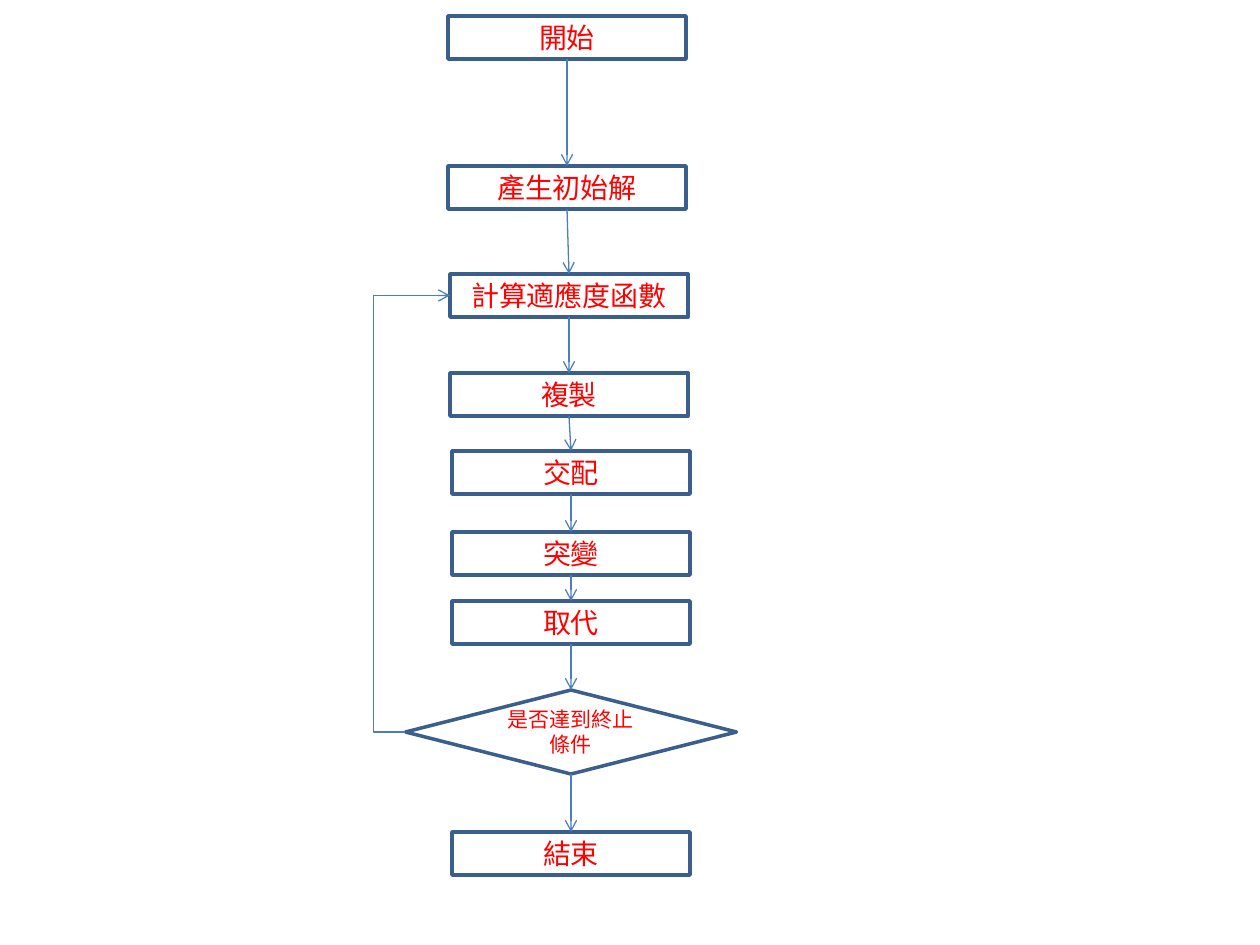
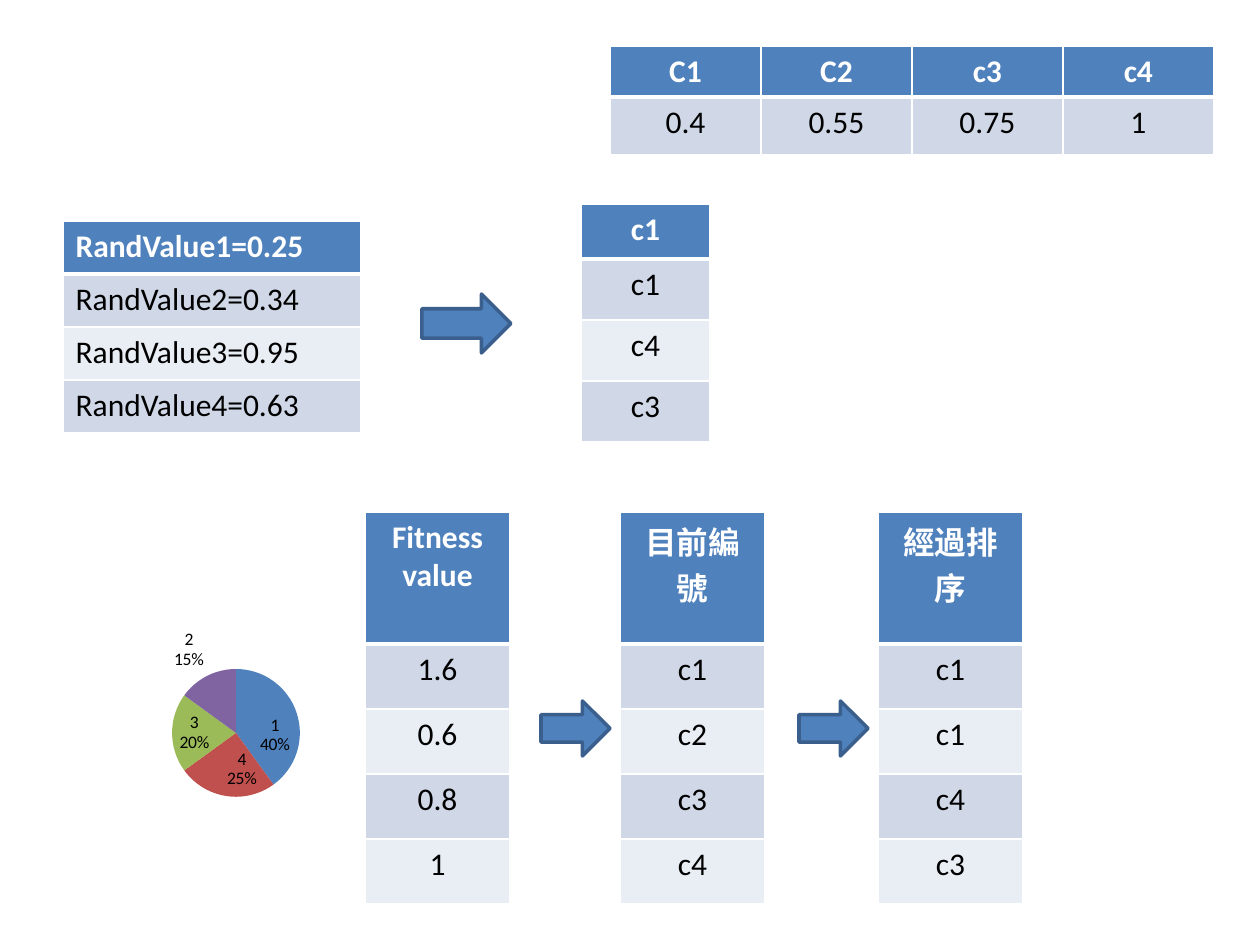
import dataclasses

import pptx
import pptx.chart.data
import pptx.dml.color
import pptx.enum.chart
import pptx.enum.shapes
import pptx.enum.text
import pptx.oxml
import pptx.oxml.ns
import pptx.util
from lxml import etree

SHAPE = pptx.enum.shapes.MSO_SHAPE
CONNECTOR = pptx.enum.shapes.MSO_CONNECTOR
LABEL = pptx.enum.chart.XL_LABEL_POSITION
qn = pptx.oxml.ns.qn


@dataclasses.dataclass(frozen=True)
class Theme:
    font: str = "Calibri"
    accent: str = "4F81BD"
    outline: str = "3A5F8C"
    connector: str = "4B7EBC"
    step_text: str = "FF0000"
    header_text: str = "FFFFFF"
    body_text: str = "000000"
    grid: str = "FFFFFF"
    bands: tuple = ("D0D8E8", "E9EDF4")
    slices: tuple = ("4F81BD", "C0504D", "9BBB59", "8064A2")
    step_size: int = 16
    decision_size: int = 12
    table_size: int = 18
    chart_size: int = 10


THEME = Theme()

# Content: flow steps as (text, centre x, top), in px
STEP_SIZE = (238, 43)
DECISION_SIZE = (331, 84)
DECISION = "是否達到終止條件"
LOOP_TARGET = "計算適應度函數"
LOOP_REACH = 32  # how far the loop runs left of the decision
STEPS = [
    ("開始", 567, 16),
    ("產生初始解", 567, 166),
    (LOOP_TARGET, 569, 274),
    ("複製", 569, 373),
    ("交配", 571, 451),
    ("突變", 571, 532),
    ("取代", 571, 601),
    (DECISION, 571, 690),
    ("結束", 571, 832),
]

# Content: tables as left, top, column width, header and row heights, rows
RANDOM_VALUES = ("RandValue1=0.25", "RandValue2=0.34",
                 "RandValue3=0.95", "RandValue4=0.63")
RANKING_TOP, RANKING_WIDTH, RANKING_ROWS = 512, 145, (132, 65)
RANKINGS = [
    (365, ("Fitness value", "1.6", "0.6", "0.8", "1")),
    (620, ("目前編號", "c1", "c2", "c3", "c4")),
    (878, ("經過排序", "c1", "c1", "c4", "c3")),
]
CUMULATIVE = [("C1", "C2", "c3", "c4"), ("0.4", "0.55", "0.75", "1")]
SELECTED = ("c1", "c1", "c4", "c3")
ARROWS = [(422, 294, 89, 59), (541, 701, 69, 55), (799, 701, 69, 55)]

# Content: pie of fitness shares
SHARES = {"1": 40, "2": 25, "3": 20, "4": 15}
SHARE_LABELS = {1: ("4\n25%", LABEL.INSIDE_END), 3: ("2\n15%", LABEL.OUTSIDE_END)}
PIE_FRAME = (54, 611, 328, 249)
PIE_LAYOUT = {"x": 0.36, "y": 0.23, "w": 0.39, "h": 0.52}


def px(length):
    return pptx.util.Emu(round(length * 914400 / 126))


def rgb(value):
    return pptx.dml.color.RGBColor.from_string(value)


def style_font(font, size, color, bold=False):
    font.name = THEME.font
    font.size = pptx.util.Pt(size)
    font.bold = bold
    font.color.rgb = rgb(color)


def write(paragraph, text, size, color, bold=False, centered=True):
    if centered:
        paragraph.alignment = pptx.enum.text.PP_ALIGN.CENTER
    run = paragraph.add_run()
    run.text = text
    style_font(run.font, size, color, bold)


def add_outlined(slide, kind, box, fill=None):
    shape = slide.shapes.add_shape(kind, *map(px, box))
    shape.shadow.inherit = False
    if fill:
        shape.fill.solid()
        shape.fill.fore_color.rgb = rgb(fill)
    else:
        shape.fill.background()
    shape.line.color.rgb = rgb(THEME.outline)
    shape.line.width = pptx.util.Pt(2)
    return shape


def add_step(slide, text, center, top):
    decides = text == DECISION
    width, height = DECISION_SIZE if decides else STEP_SIZE
    kind = SHAPE.FLOWCHART_DECISION if decides else SHAPE.FLOWCHART_PROCESS
    step = add_outlined(slide, kind, (center - width / 2, top, width, height))
    step.text_frame.vertical_anchor = pptx.enum.text.MSO_ANCHOR.MIDDLE
    size = THEME.decision_size if decides else THEME.step_size
    write(step.text_frame.paragraphs[0], text, size, THEME.step_text)
    return step


def link(slide, kind, source, source_site, target, target_site):
    """Glue an arrow between connection sites (0 top, 1 left, 2 bottom)."""
    arrow = slide.shapes.add_connector(kind, 0, 0, 0, 0)
    arrow.begin_connect(source, source_site)
    arrow.end_connect(target, target_site)
    arrow.line.color.rgb = rgb(THEME.connector)
    arrow.line.width = pptx.util.Pt(0.75)
    etree.SubElement(arrow.line._get_or_add_ln(), qn("a:tailEnd"), type="arrow")
    etree.SubElement(arrow._element.spPr, qn("a:effectLst"))
    return arrow


def set_border(cell, side, width):
    line = etree.SubElement(cell._tc.get_or_add_tcPr(), qn(f"a:ln{side}"),
                            w=str(pptx.util.Pt(width)))
    fill = etree.SubElement(line, qn("a:solidFill"))
    etree.SubElement(fill, qn("a:srgbClr"), val=THEME.grid)


def add_grid(slide, left, top, column_width, heights, rows, centered=True):
    header_height, row_height = heights
    columns = len(rows[0])
    total = header_height + row_height * (len(rows) - 1)
    table = slide.shapes.add_table(
        len(rows), columns, px(left), px(top),
        px(column_width * columns), px(total)).table
    for column in table.columns:
        column.width = px(column_width)
    for r, texts in enumerate(rows):
        header = r == 0
        table.rows[r].height = px(header_height if header else row_height)
        for c, text in enumerate(texts):
            cell = table.cell(r, c)
            for side in "LRTB":
                thick = (header and side == "B") or (r == 1 and side == "T")
                set_border(cell, side, 3 if thick else 1)
            cell.fill.solid()
            cell.fill.fore_color.rgb = rgb(
                THEME.accent if header else THEME.bands[(r - 1) % 2])
            write(cell.text_frame.paragraphs[0], text, THEME.table_size,
                  THEME.header_text if header else THEME.body_text,
                  header, centered)


def add_share_pie(slide):
    data = pptx.chart.data.CategoryChartData()
    data.categories = list(SHARES)
    data.add_series("Series 1", list(SHARES.values()))
    chart = slide.shapes.add_chart(
        pptx.enum.chart.XL_CHART_TYPE.PIE, *map(px, PIE_FRAME), data).chart
    chart.has_legend = False
    chart.has_title = False
    style_font(chart.font, THEME.chart_size, THEME.body_text)
    plot = chart.plots[0]
    plot.vary_by_categories = True
    series = plot.series[0]
    for i, color in enumerate(THEME.slices):
        fill = series.points[i].format.fill
        fill.solid()
        fill.fore_color.rgb = rgb(color)

    # Category above percentage, with two labels written by hand
    labels = series.data_labels
    labels.show_value = False
    labels.show_category_name = True
    labels.show_percentage = True
    labels.position = LABEL.INSIDE_END
    style_font(labels.font, THEME.chart_size, THEME.body_text)
    separator = etree.Element(qn("c:separator"))
    separator.text = "\n"
    labels._element.find(qn("c:showBubbleSize")).addnext(separator)
    for i, (text, position) in SHARE_LABELS.items():
        label = series.points[i].data_label
        frame = label.text_frame
        for n, line in enumerate(text.split("\n")):
            paragraph = frame.add_paragraph() if n else frame.paragraphs[0]
            write(paragraph, line, THEME.chart_size, THEME.body_text)
        label.position = position

    # Place the pie inside its frame
    area = chart._chartSpace.chart.plotArea
    for old in area.findall(qn("c:layout")):
        area.remove(old)
    layout = etree.Element(qn("c:layout"))
    area.insert(0, layout)
    manual = etree.SubElement(layout, qn("c:manualLayout"))
    etree.SubElement(manual, qn("c:layoutTarget"), val="inner")
    for axis in "xy":
        etree.SubElement(manual, qn(f"c:{axis}Mode"), val="edge")
    for key, share in PIE_LAYOUT.items():
        etree.SubElement(manual, qn(f"c:{key}"), val=str(share))


def build_flow(slide):
    steps = {text: add_step(slide, text, center, top)
             for text, center, top in STEPS}
    chain = list(steps.values())
    for source, target in zip(chain, chain[1:]):
        link(slide, CONNECTOR.STRAIGHT, source, 2, target, 0)
    # Loop back from the decision
    loop = link(slide, CONNECTOR.ELBOW, steps[DECISION], 1, steps[LOOP_TARGET], 1)
    bend = round(-100000 * px(LOOP_REACH) / loop.width)
    guides = loop._element.spPr.find(qn("a:prstGeom")).get_or_add_avLst()
    etree.SubElement(guides, qn("a:gd"), name="adj1", fmla=f"val {bend}")


def build_selection(slide):
    add_grid(slide, 63, 221, 298, (53, 53),
             [(value,) for value in RANDOM_VALUES], centered=False)
    add_grid(slide, 610, 46, 151, (50, 58), CUMULATIVE)
    add_grid(slide, 581, 204, 129, (55, 61), [(name,) for name in SELECTED])
    add_share_pie(slide)
    for left, values in RANKINGS:
        add_grid(slide, left, RANKING_TOP, RANKING_WIDTH, RANKING_ROWS,
                 [(value,) for value in values])
    for box in ARROWS:
        add_outlined(slide, SHAPE.RIGHT_ARROW, box, THEME.accent)


def main():
    deck = pptx.Presentation()
    deck.slide_width, deck.slide_height = px(1260), px(945)
    blank = deck.slide_layouts[6]
    for build in (build_flow, build_selection):
        build(deck.slides.add_slide(blank))
    deck.save("out.pptx")


if __name__ == "__main__":
    main()
